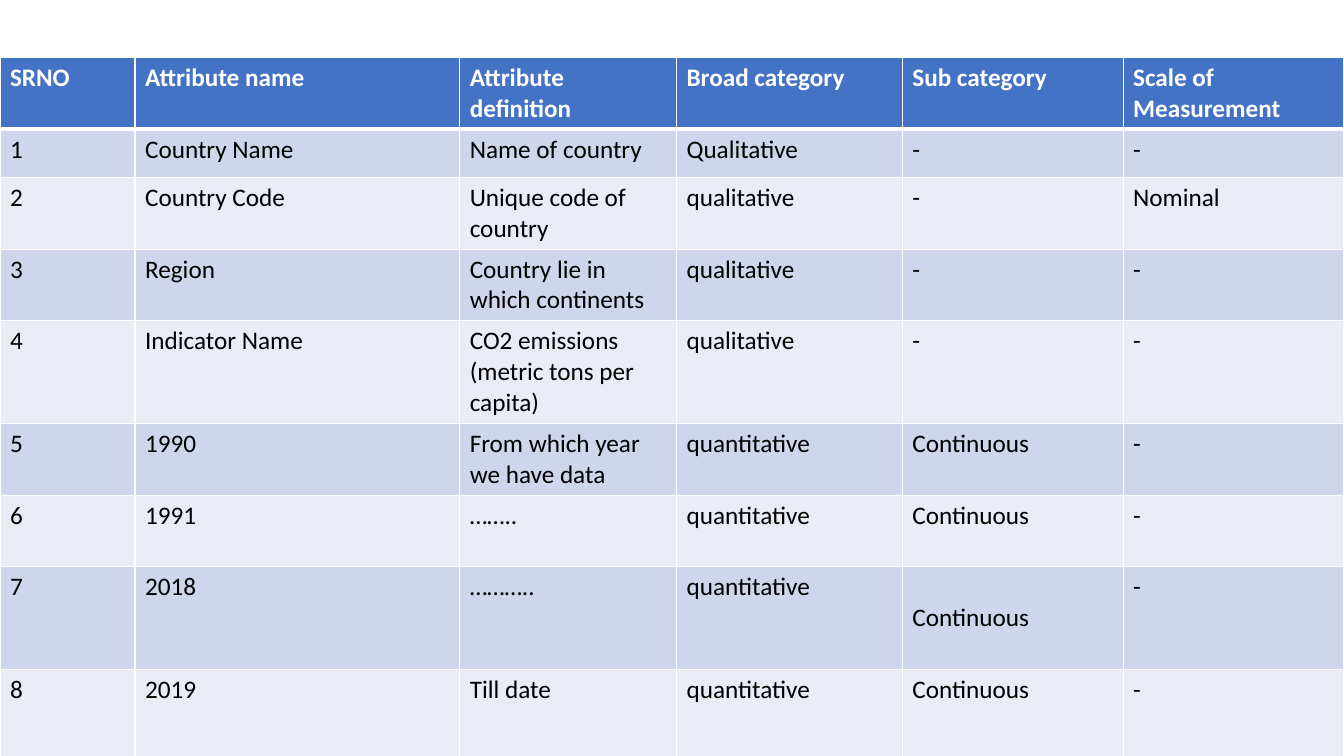
from lxml import etree
from pptx import Presentation
from pptx.dml.color import RGBColor
from pptx.oxml.ns import qn
from pptx.util import Inches, Pt

HEADINGS = ("SRNO", "Attribute name", "Attribute definition",
            "Broad category", "Sub category", "Scale of Measurement")
ATTRIBUTES = [
    ("1", "Country Name", "Name of country", "Qualitative", "-", "-"),
    ("2", "Country Code", "Unique code of country", "qualitative", "-", "Nominal"),
    ("3", "Region", "Country lie in which continents", "qualitative", "-", "-"),
    ("4", "Indicator Name", "CO2 emissions (metric tons per capita)", "qualitative", "-", "-"),
    ("5", "1990", "From which year we have data", "quantitative", "Continuous", "-"),
    ("6", "1991", "……..", "quantitative", "Continuous", "-"),
    ("7", "2018", "………..", "quantitative", "Continuous", "-"),
    ("8", "2019", "Till date", "quantitative", "Continuous", "-"),
]
COLUMN_WIDTHS = (1.34, 3.22, 2.15, 2.24, 2.19, 2.19)
ROW_HEIGHTS = (0.71, 0.48, 0.71, 0.71, 1.02, 0.71, 0.71, 1.02, 0.91)
TABLE_TOP = 0.57
LOWERED_CELL = (7, 4)  # its text starts one line lower
LOWERED_MARGIN = 0.36

WHITE = "FFFFFF"
HEADER_FONT = {"name": "Calibri", "size": Pt(18), "bold": True}
BODY_FONT = {**HEADER_FONT, "bold": False}
HEADER_FILL = "4472C4"
BAND_FILLS = ("E9EBF5", "CFD5EA")


def color(hex_code):
    return RGBColor.from_string(hex_code)


def add_borders(cell, widths):
    """Draw white borders; widths maps a side (L, R, T, B) to points."""
    properties = cell._tc.get_or_add_tcPr()
    for side, points in widths.items():
        line = etree.SubElement(properties, qn(f"a:ln{side}"), w=str(Pt(points)))
        fill = etree.SubElement(line, qn("a:solidFill"))
        etree.SubElement(fill, qn("a:srgbClr"), val=WHITE)


def fill_cell(cell, text, row):
    is_header = row == 0
    add_borders(cell, {"L": 1, "R": 1, "T": 3 if row == 1 else 1,
                       "B": 3 if is_header else 1})
    cell.fill.solid()
    cell.fill.fore_color.rgb = color(HEADER_FILL if is_header else BAND_FILLS[row % 2])
    run = cell.text_frame.paragraphs[0].add_run()
    run.text = text
    for attribute, value in (HEADER_FONT if is_header else BODY_FONT).items():
        setattr(run.font, attribute, value)
    run.font.color.rgb = color(WHITE if is_header else "000000")


def main():
    presentation = Presentation()
    presentation.slide_width = Inches(13.33)
    presentation.slide_height = Inches(7.5)
    slide = presentation.slides.add_slide(presentation.slide_layouts[6])

    rows = [HEADINGS, *ATTRIBUTES]
    table = slide.shapes.add_table(
        len(rows), len(HEADINGS), 0, Inches(TABLE_TOP),
        Inches(sum(COLUMN_WIDTHS)), Inches(sum(ROW_HEIGHTS))).table
    for column, width in zip(table.columns, COLUMN_WIDTHS):
        column.width = Inches(width)
    for table_row, height in zip(table.rows, ROW_HEIGHTS):
        table_row.height = Inches(height)
    for r, texts in enumerate(rows):
        for c, text in enumerate(texts):
            fill_cell(table.cell(r, c), text, r)
    table.cell(*LOWERED_CELL).margin_top = Inches(LOWERED_MARGIN)

    presentation.save("out.pptx")


if __name__ == "__main__":
    main()
